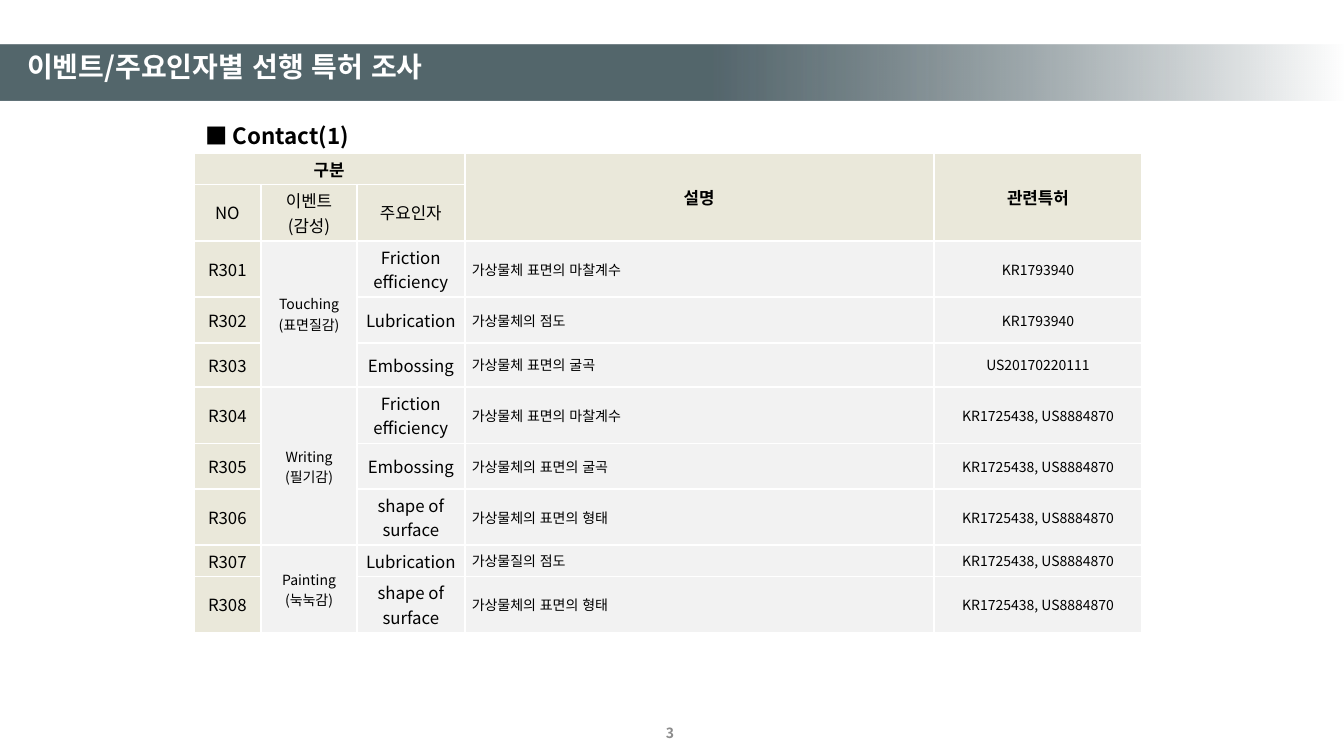
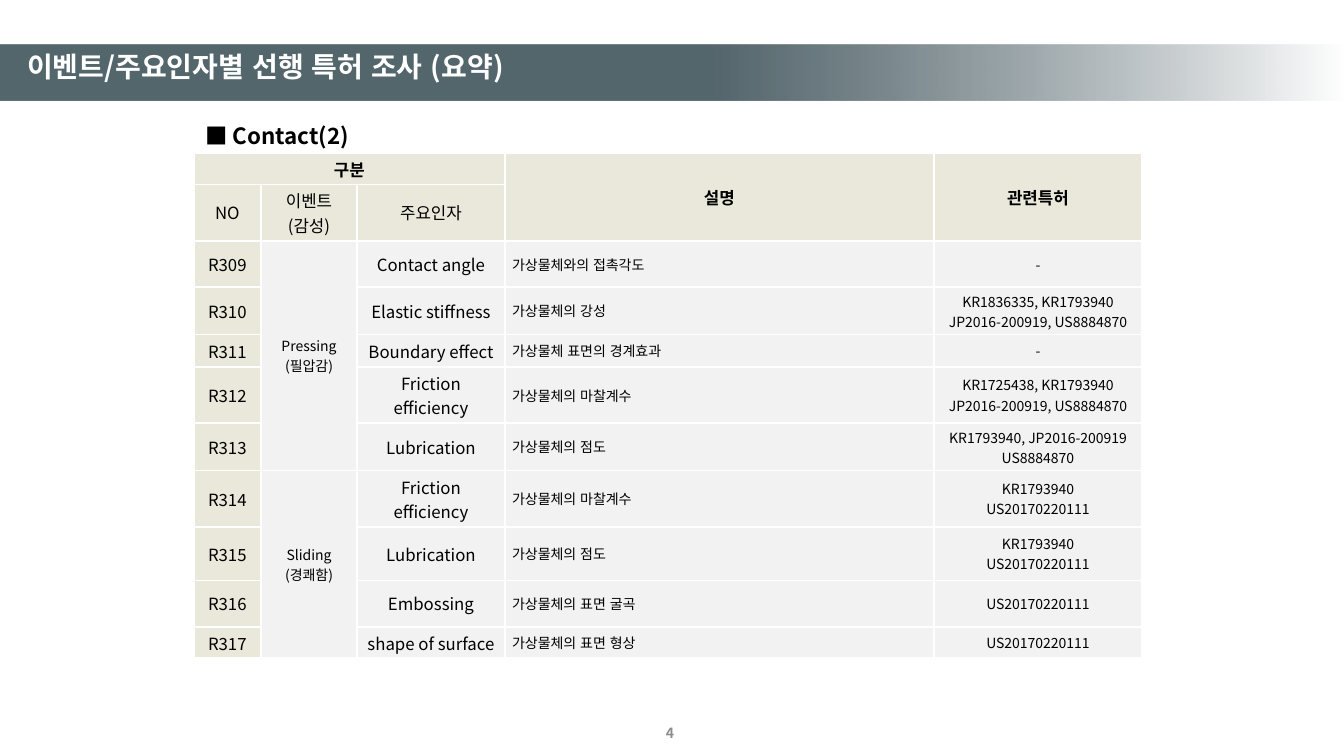
"""Build two slides that list prior patents for each contact event and factor."""
from dataclasses import dataclass

from lxml import etree
from pptx import Presentation
from pptx.dml.color import RGBColor
from pptx.enum.lang import MSO_LANGUAGE_ID
from pptx.enum.shapes import MSO_SHAPE
from pptx.enum.text import MSO_ANCHOR, PP_ALIGN
from pptx.oxml.ns import qn
from pptx.util import Inches, Pt

RECTANGLE = MSO_SHAPE.RECTANGLE
TOP, MIDDLE = MSO_ANCHOR.TOP, MSO_ANCHOR.MIDDLE
LEFT, CENTER = PP_ALIGN.LEFT, PP_ALIGN.CENTER
KOREAN = MSO_LANGUAGE_ID.KOREAN


@dataclass(frozen=True)
class Theme:
    font: str = "Noto Sans CJK KR"
    white: str = "FFFFFF"
    black: str = "000000"
    gray: str = "8C8C8C"
    band: str = "2B4149"
    header: str = "EAE8DA"
    body: str = "F2F2F2"
    title_size: int = 20
    heading_size: int = 16
    cell_size: int = 12
    small_size: int = 10
    border: float = 1.5


theme = Theme()


def write_text(text_frame, text, size, color, bold=False, align=LEFT):
    text_frame.text = text
    for paragraph in text_frame.paragraphs:
        paragraph.alignment = align
        for run in paragraph.runs:
            run.font.name = theme.font
            run.font.size = Pt(size)
            run.font.bold = bold
            run.font.language_id = KOREAN
            run.font.color.rgb = RGBColor.from_string(color)
            east_asian = etree.SubElement(run.font._element, qn("a:ea"))
            east_asian.set("typeface", theme.font)


def fill_cell(cell, text, fill, size, bold=False, align=CENTER):
    write_text(cell.text_frame, text, size, theme.black, bold, align)
    cell.vertical_anchor = MIDDLE
    cell.margin_left = cell.margin_right = Inches(0.07)
    cell.margin_top = cell.margin_bottom = Inches(0.04)
    properties = cell._tc.get_or_add_tcPr()
    for side in ("a:lnL", "a:lnR", "a:lnT", "a:lnB"):
        line = etree.SubElement(properties, qn(side), w=str(Pt(theme.border)))
        solid = etree.SubElement(line, qn("a:solidFill"))
        etree.SubElement(solid, qn("a:srgbClr"), val=theme.white)
    cell.fill.solid()
    cell.fill.fore_color.rgb = RGBColor.from_string(fill)


HEADER_ROWS = [
    ("구분", "", "", "설명", "관련특허"),
    ("NO", "이벤트\n(감성)", "주요인자", "", ""),
]
HEADER_MERGES = [(0, 0, 0, 2), (0, 3, 1, 3), (0, 4, 1, 4)]

pages = [
    {
        "number": 3,
        "title": "이벤트/주요인자별 선행 특허 조사",
        "heading": "■ Contact(1)",
        "first_code": 301,
        "columns": [0.67, 0.95, 1.07, 4.65, 2.07],
        "rows": [0.31, 0.56, 0.56, 0.45, 0.44, 0.56, 0.45, 0.56, 0.31, 0.56],
        "events": [
            ("Touching\n(표면질감)", [
                ("Friction efficiency", "가상물체 표면의 마찰계수", "KR1793940"),
                ("Lubrication", "가상물체의 점도", "KR1793940"),
                ("Embossing", "가상물체 표면의 굴곡", "US20170220111"),
            ]),
            ("Writing\n(필기감)", [
                ("Friction efficiency", "가상물체 표면의 마찰계수", "KR1725438, US8884870"),
                ("Embossing", "가상물체의 표면의 굴곡", "KR1725438, US8884870"),
                ("shape of surface", "가상물체의 표면의 형태", "KR1725438, US8884870"),
            ]),
            ("Painting\n(눅눅감)", [
                ("Lubrication", "가상물질의 점도", "KR1725438, US8884870"),
                ("shape of surface", "가상물체의 표면의 형태", "KR1725438, US8884870"),
            ]),
        ],
    },
    {
        "number": 4,
        "title": "이벤트/주요인자별 선행 특허 조사 (요약)",
        "heading": "■ Contact(2)",
        "first_code": 309,
        "columns": [0.67, 0.95, 1.47, 4.25, 2.07],
        "rows": [0.31, 0.56, 0.46, 0.47, 0.32, 0.56, 0.47, 0.56, 0.53, 0.46, 0.31],
        "events": [
            ("Pressing\n(필압감)", [
                ("Contact angle", "가상물체와의 접촉각도", "-"),
                ("Elastic stiffness", "가상물체의 강성", "KR1836335, KR1793940\nJP2016-200919, US8884870"),
                ("Boundary effect", "가상물체 표면의 경계효과", "-"),
                ("Friction efficiency", "가상물체의 마찰계수", "KR1725438, KR1793940\nJP2016-200919, US8884870"),
                ("Lubrication", "가상물체의 점도", "KR1793940, JP2016-200919\nUS8884870"),
            ]),
            ("Sliding\n(경쾌함)", [
                ("Friction efficiency", "가상물체의 마찰계수", "KR1793940\nUS20170220111"),
                ("Lubrication", "가상물체의 점도", "KR1793940\nUS20170220111"),
                ("Embossing", "가상물체의 표면 굴곡", "US20170220111"),
                ("shape of surface", "가상물체의 표면 형상", "US20170220111"),
            ]),
        ],
    },
]

presentation = Presentation()
presentation.slide_width = Inches(13.33)
presentation.slide_height = Inches(7.5)
blank_layout = presentation.slide_layouts[6]

for page in pages:
    slide = presentation.slides.add_slide(blank_layout)

    band = slide.shapes.add_shape(RECTANGLE, 0, Inches(0.44), presentation.slide_width, Inches(0.56))
    band.shadow.inherit = False
    band.line.fill.background()
    band.fill.gradient()
    band.fill.gradient_angle = 0
    stop_list = band._element.spPr.find(qn("a:gradFill")).find(qn("a:gsLst"))
    for stop in list(stop_list):
        stop_list.remove(stop)
    for position, color, opacity in ((0, theme.band, 80), (53, theme.band, 80), (100, theme.white, 100)):
        stop = etree.SubElement(stop_list, qn("a:gs"), pos=str(position * 1000))
        stop_color = etree.SubElement(stop, qn("a:srgbClr"), val=color)
        etree.SubElement(stop_color, qn("a:alpha"), val=str(opacity * 1000))

    labels = [
        (str(page["number"]), (5.09, 7.07, 3.11, 0.4), theme.small_size, theme.gray, CENTER, MIDDLE),
        (page["heading"], (1.94, 1.18, 3.44, 0.33), theme.heading_size, theme.black, LEFT, MIDDLE),
        (page["title"], (0.17, 0.48, 12.41, 0.47), theme.title_size, theme.white, LEFT, TOP),
    ]
    for text, bounds, size, color, align, anchor in labels:
        label = slide.shapes.add_textbox(*map(Inches, bounds))
        label.text_frame.word_wrap = True
        label.text_frame.vertical_anchor = anchor
        write_text(label.text_frame, text, size, color, True, align)
    title_paragraph = label.text_frame.paragraphs[0]
    title_paragraph.line_spacing = 0.9
    title_paragraph.space_before = Pt(10)

    columns, rows = page["columns"], page["rows"]
    table = slide.shapes.add_table(
        len(rows), len(columns), Inches(1.92), Inches(1.52), Inches(sum(columns)), Inches(sum(rows))
    ).table
    table.first_row = table.horz_banding = False
    for column, width in zip(table.columns, columns):
        column.width = Inches(width)
    for row, height in zip(table.rows, rows):
        row.height = Inches(height)

    for row_index, header_row in enumerate(HEADER_ROWS):
        for column_index, text in enumerate(header_row):
            fill_cell(table.cell(row_index, column_index), text, theme.header, theme.cell_size, row_index == 0)

    merges = list(HEADER_MERGES)
    row_index = len(HEADER_ROWS)
    for event, factors in page["events"]:
        merges.append((row_index, 1, row_index + len(factors) - 1, 1))
        for factor_index, (factor, description, patents) in enumerate(factors):
            code = f"R{page['first_code'] + row_index - len(HEADER_ROWS)}"
            event_text = event if factor_index == 0 else ""
            cells = [
                (code, theme.header, theme.cell_size, CENTER),
                (event_text, theme.body, theme.small_size, CENTER),
                (factor, theme.body, theme.cell_size, CENTER),
                (description, theme.body, theme.small_size, LEFT),
                (patents, theme.body, theme.small_size, CENTER),
            ]
            for column_index, (text, fill, size, align) in enumerate(cells):
                fill_cell(table.cell(row_index, column_index), text, fill, size, align=align)
            row_index += 1
    for top, left, bottom, right in merges:
        table.cell(top, left).merge(table.cell(bottom, right))

presentation.save("out.pptx")
